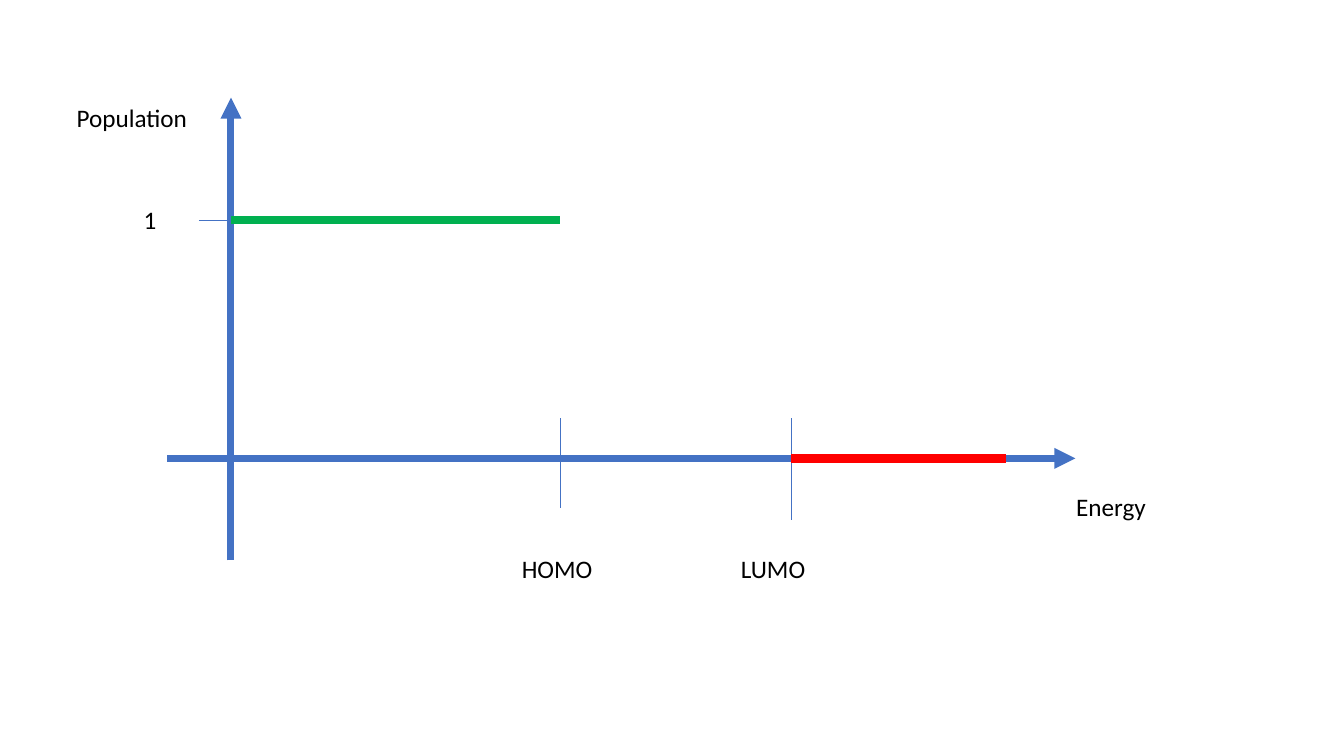
from dataclasses import dataclass

from lxml.etree import SubElement
from pptx import Presentation
from pptx.dml.color import RGBColor
from pptx.enum.shapes import MSO_CONNECTOR
from pptx.enum.text import MSO_AUTO_SIZE
from pptx.oxml.ns import qn
from pptx.util import Cm, Pt


@dataclass(frozen=True)
class Theme:
    font: str = "Calibri"
    label_size: float = 18
    text: str = "000000"
    axis: str = "4472C4"
    occupied: str = "00B050"
    empty: str = "FF0000"
    axis_width: float = 5
    level_width: float = 6
    tick_width: float = 0.5


THEME = Theme()

# Positions on the plot, in centimetres
ORIGIN_X, ORIGIN_Y = 5.82, 11.55
HOMO_X, LUMO_X = 14.12, 19.94
FULL_Y = 5.55
TICK_TOP = 10.54


def add_line(slide, start, end, color, width, arrow=False):
    """Draw a straight line between two (x, y) points in centimetres."""
    line = slide.shapes.add_connector(
        MSO_CONNECTOR.STRAIGHT, *map(Cm, (*start, *end)))
    line.line.color.rgb = RGBColor.from_string(color)
    line.line.width = Pt(width)
    properties = line._element.spPr
    if arrow:
        SubElement(properties.find(qn("a:ln")), qn("a:tailEnd"), type="triangle")
    SubElement(properties, qn("a:effectLst"))


def add_label(slide, text, left, top, width, *, height=1.02, tab_stop=None,
              size=THEME.label_size, color=THEME.text, font=THEME.font):
    """Add one line of text; tab_stop is measured from the text's left edge."""
    frame = slide.shapes.add_textbox(
        Cm(left), Cm(top), Cm(width), Cm(height)).text_frame
    frame.word_wrap = False
    frame.auto_size = MSO_AUTO_SIZE.SHAPE_TO_FIT_TEXT
    paragraph = frame.paragraphs[0]
    if tab_stop is not None:
        tabs = SubElement(paragraph._p.get_or_add_pPr(), qn("a:tabLst"))
        SubElement(tabs, qn("a:tab"), pos=str(Cm(tab_stop)), algn="l")
    run = paragraph.add_run()
    run.text = text
    run.font.name = font
    run.font.size = Pt(size)
    run.font.color.rgb = RGBColor.from_string(color)


def add_axis(slide, start, end):
    add_line(slide, start, end, THEME.axis, THEME.axis_width, arrow=True)


def add_tick(slide, start, end):
    add_line(slide, start, end, THEME.axis, THEME.tick_width)


def add_level(slide, start_x, end_x, y, color):
    """Draw the thick bar that shows the population over an energy range."""
    add_line(slide, (start_x, y), (end_x, y), color, THEME.level_width)


def main():
    deck = Presentation()
    deck.slide_width, deck.slide_height = Cm(33.87), Cm(19.05)
    blank_layout = deck.slide_layouts[6]
    slide = deck.slides.add_slide(blank_layout)

    add_axis(slide, (4.22, ORIGIN_Y), (27.1, ORIGIN_Y))
    add_axis(slide, (ORIGIN_X, 14.12), (ORIGIN_X, 2.46))

    add_tick(slide, (HOMO_X, TICK_TOP), (HOMO_X, 12.8))
    add_tick(slide, (LUMO_X, TICK_TOP), (LUMO_X, 13.11))
    add_tick(slide, (5.01, FULL_Y), (6.27, FULL_Y))

    add_label(slide, "HOMO\tLUMO", 12.9, 13.82, 7.72, tab_stop=5.52)
    add_label(slide, "Energy", 26.87, 12.26, 2.29)
    add_label(slide, "Population", 1.68, 2.46, 3.33)
    add_label(slide, "1", 3.37, 5.03, 0.84)

    add_level(slide, ORIGIN_X, HOMO_X, FULL_Y, THEME.occupied)
    add_level(slide, LUMO_X, 25.35, ORIGIN_Y, THEME.empty)

    deck.save("out.pptx")


if __name__ == "__main__":
    main()
